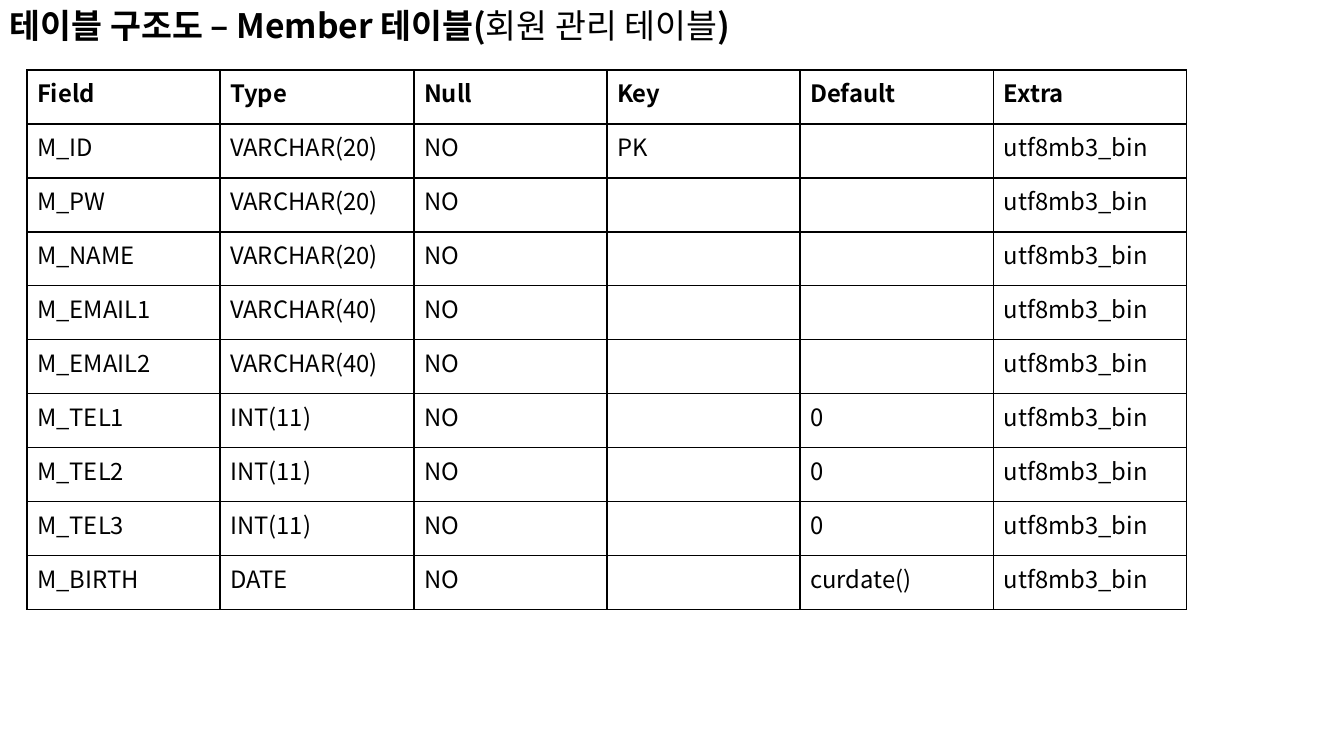
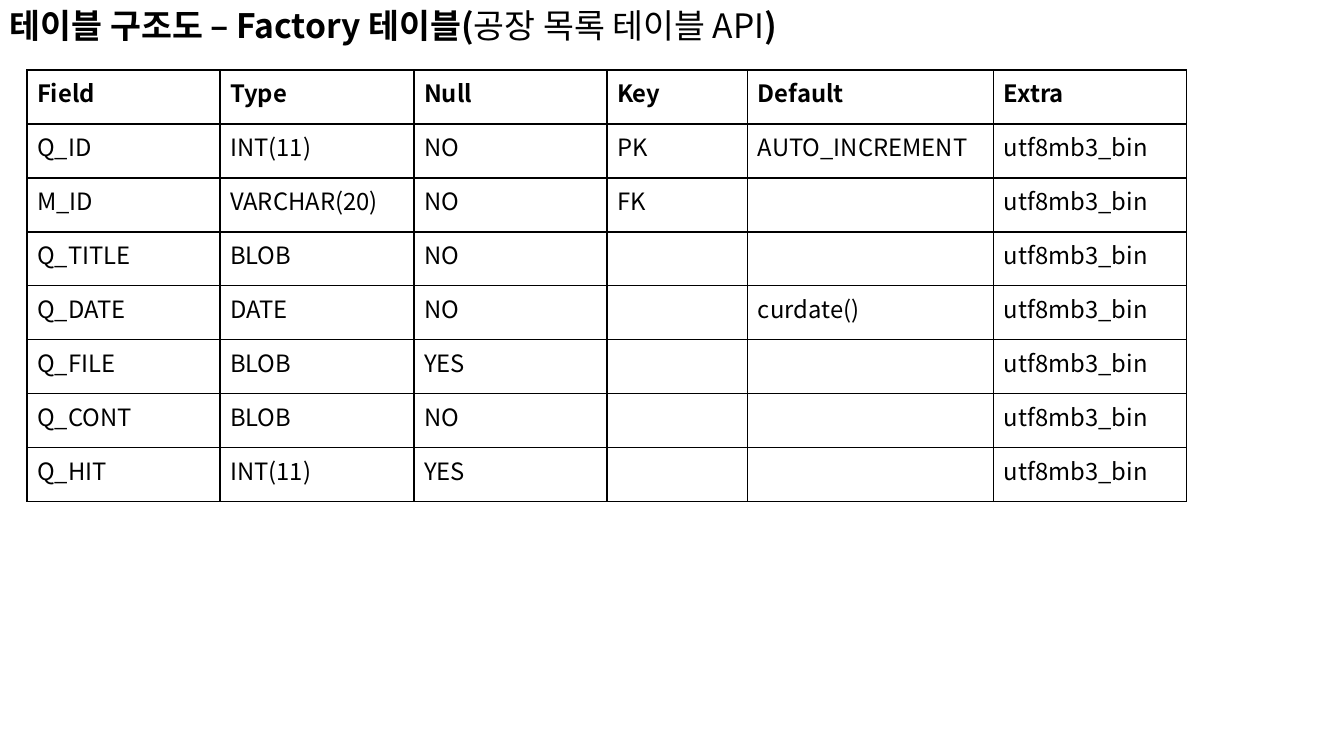
import pptx
import pptx.dml.color
import pptx.enum.text
import pptx.oxml
import pptx.oxml.ns
import pptx.util

PX = 12192000 / 1344
SLIDE_W, SLIDE_H = 1344, 756
FONT = "Noto Sans CJK KR"
BLACK = pptx.dml.color.RGBColor(0x00, 0x00, 0x00)
WHITE = pptx.dml.color.RGBColor(0xFF, 0xFF, 0xFF)

TITLE_SIZE, CELL_SIZE = 24, 17
TITLE_H = 50
TABLE_X, TABLE_Y, TABLE_W, ROW_H = 27, 70, 1160, 54
KEY_END = 4
BORDER_PT = 1

HEADER = ("Field", "Type", "Null", "Key", "Default", "Extra")
EXTRA = "utf8mb3_bin"

MEMBER_ROWS = [
    ("M_ID", "VARCHAR(20)", "NO", "PK", ""),
    ("M_PW", "VARCHAR(20)", "NO", "", ""),
    ("M_NAME", "VARCHAR(20)", "NO", "", ""),
    ("M_EMAIL1", "VARCHAR(40)", "NO", "", ""),
    ("M_EMAIL2", "VARCHAR(40)", "NO", "", ""),
    ("M_TEL1", "INT(11)", "NO", "", "0"),
    ("M_TEL2", "INT(11)", "NO", "", "0"),
    ("M_TEL3", "INT(11)", "NO", "", "0"),
    ("M_BIRTH", "DATE", "NO", "", "curdate()"),
]

FACTORY_ROWS = [
    ("Q_ID", "INT(11)", "NO", "PK", "AUTO_INCREMENT"),
    ("M_ID", "VARCHAR(20)", "NO", "FK", ""),
    ("Q_TITLE", "BLOB", "NO", "", ""),
    ("Q_DATE", "DATE", "NO", "", "curdate()"),
    ("Q_FILE", "BLOB", "YES", "", ""),
    ("Q_CONT", "BLOB", "NO", "", ""),
    ("Q_HIT", "INT(11)", "YES", "", ""),
]


def px(n):
    return pptx.util.Emu(round(n * PX))


def add_text(p, text, size=CELL_SIZE, bold=False, color=BLACK):
    r = p.add_run()
    r.text = text
    r.font.size = pptx.util.Pt(size)
    r.font.bold = bold
    r.font.name = FONT
    r.font.color.rgb = color
    ea = pptx.oxml.parse_xml(
        f'<a:ea {pptx.oxml.ns.nsdecls("a")} typeface="{FONT}"/>')
    r.font._element.find(pptx.oxml.ns.qn("a:latin")).addnext(ea)


def add_title(s, name, description, width):
    sp = s.shapes.add_textbox(0, 0, px(width), px(TITLE_H))
    tf = sp.text_frame
    tf.word_wrap = True
    tf.vertical_anchor = pptx.enum.text.MSO_ANCHOR.MIDDLE
    p = tf.paragraphs[0]
    add_text(p, f"테이블 구조도 – {name} 테이블(", size=TITLE_SIZE, bold=True)
    add_text(p, description, size=TITLE_SIZE)
    add_text(p, ")", size=TITLE_SIZE, bold=True)


def set_borders(cell):
    tc_pr = cell._tc.get_or_add_tcPr()
    for i, side in enumerate(("lnL", "lnR", "lnT", "lnB")):
        tc_pr.insert(i, pptx.oxml.parse_xml(
            f'<a:{side} {pptx.oxml.ns.nsdecls("a")} w="{pptx.util.Pt(BORDER_PT)}">'
            f'<a:solidFill><a:srgbClr val="{BLACK}"/></a:solidFill></a:{side}>'))


def add_field_table(s, fields, key_trim=0):
    rows = [HEADER] + [field + (EXTRA,) for field in fields]
    n = len(HEADER)
    table = s.shapes.add_table(
        len(rows), n, px(TABLE_X), px(TABLE_Y),
        px(TABLE_W), px(ROW_H * len(rows))).table
    table.horz_banding = False
    edges = [round(TABLE_W * i / n) for i in range(n + 1)]
    edges[KEY_END] -= key_trim
    for col, left, right in zip(table.columns, edges, edges[1:]):
        col.width = px(right - left)
    for i, values in enumerate(rows):
        table.rows[i].height = px(ROW_H)
        for cell, value in zip(table.rows[i].cells, values):
            cell.fill.solid()
            cell.fill.fore_color.rgb = WHITE
            set_borders(cell)
            if value:
                add_text(cell.text_frame.paragraphs[0], value, bold=i == 0)


def main():
    prs = pptx.Presentation()
    prs.slide_width, prs.slide_height = px(SLIDE_W), px(SLIDE_H)
    blank = prs.slide_layouts[6]

    s = prs.slides.add_slide(blank)
    add_title(s, "Member", "회원 관리 테이블", width=811)
    add_field_table(s, MEMBER_ROWS)

    s = prs.slides.add_slide(blank)
    add_title(s, "Factory", "공장 목록 테이블 API", width=942)
    add_field_table(s, FACTORY_ROWS, key_trim=52)

    prs.save("out.pptx")


if __name__ == "__main__":
    main()
